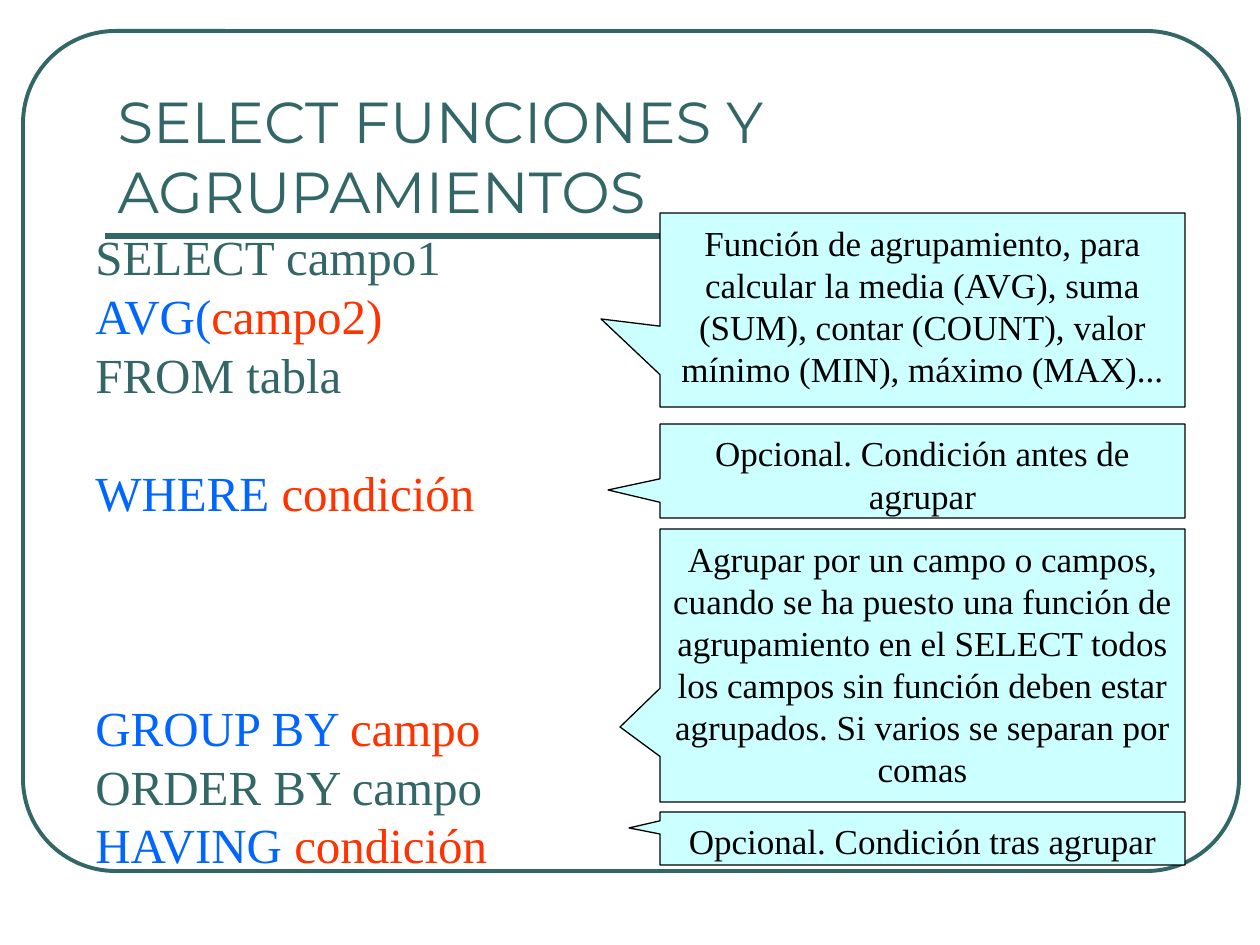
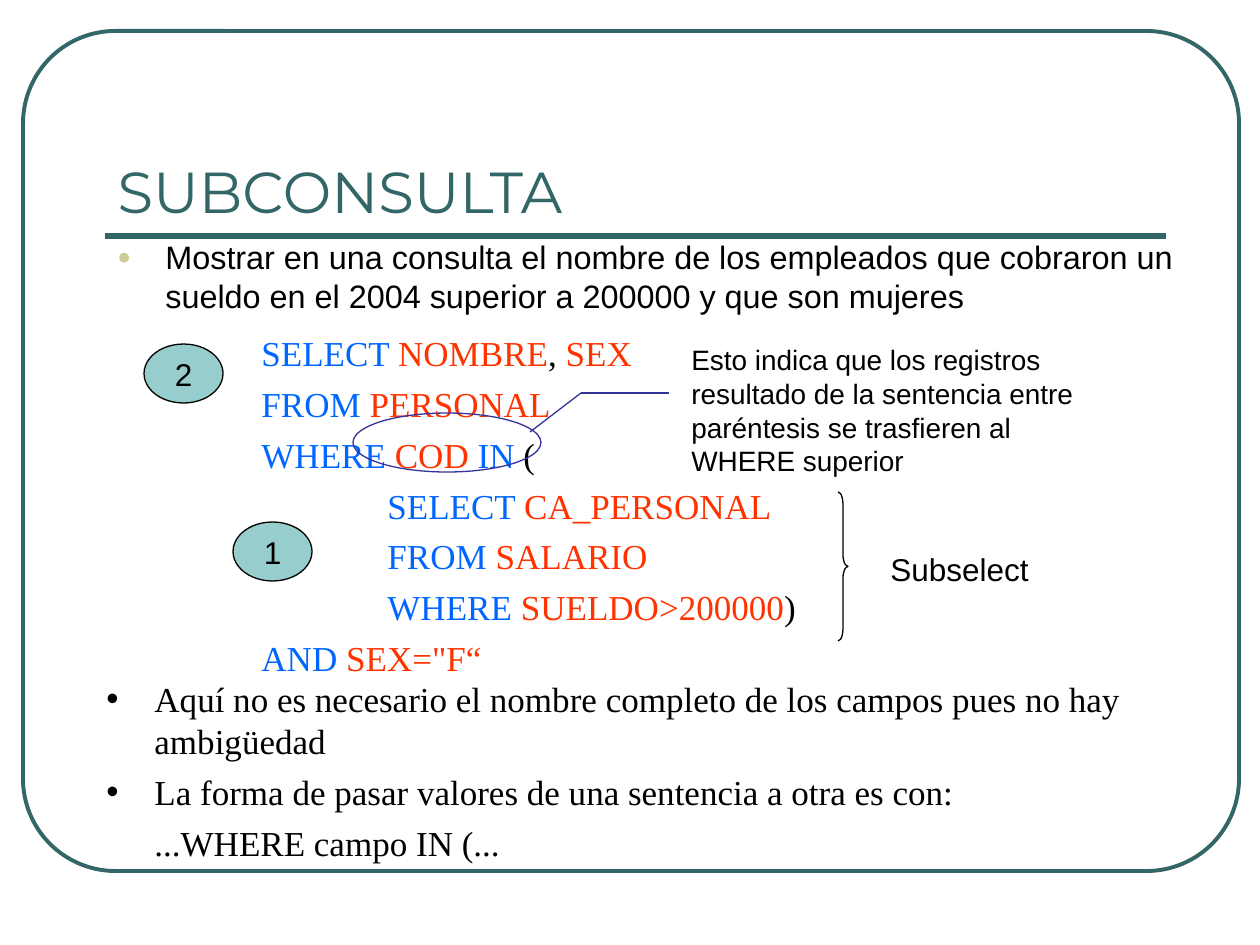
from dataclasses import dataclass

from lxml.etree import SubElement
from pptx import Presentation
from pptx.dml.color import RGBColor
from pptx.enum.shapes import MSO_CONNECTOR as Connector, MSO_SHAPE as Shape
from pptx.enum.text import MSO_ANCHOR as Anchor, MSO_AUTO_SIZE as AutoSize, PP_ALIGN as Align
from pptx.oxml.ns import qn
from pptx.util import Emu, Pt

PX_PER_INCH = 126


@dataclass(frozen=True)
class Theme:
    # Colours
    teal: str = "336666"
    keyword: str = "0066FF"
    operand: str = "FF3300"
    ink: str = "000000"
    callout: str = "CCFFFF"
    badge: str = "97CDCC"
    marker: str = "333399"
    bullet: str = "CCCC99"
    # Fonts
    heading: str = "Montserrat"
    sans: str = "Arial"
    serif: str = "Times New Roman"
    # Type sizes and line widths in points
    title_size: float = 33
    syntax_size: float = 28
    serif_size: float = 20
    body_size: float = 18.5
    label_size: float = 18
    remark_size: float = 16
    leading: float = 1.2
    thin: float = 0.75
    frame_width: float = 2.25
    rule_width: float = 3


THEME = Theme()


@dataclass
class Line:
    """One paragraph: its (text, colour) runs and its spacing."""
    runs: list
    before: float = 0
    indent: int = 0
    bullet: str = ""


def px(length):
    return Emu(round(length * 914400 / PX_PER_INCH))


def box(*lengths):
    return [px(length) for length in lengths]


def rgb(colour):
    return RGBColor.from_string(colour)


def keyword(text):
    return text, THEME.keyword


def operand(text):
    return text, THEME.operand


def plain(text):
    return text, THEME.ink


# Text

def add_bullet(paragraph, bullet, colour, percent):
    properties = paragraph._p.get_or_add_pPr()
    properties.set("indent", str(-int(properties.get("marL"))))
    SubElement(SubElement(properties, qn("a:buClr")), qn("a:srgbClr"), val=colour)
    SubElement(properties, qn("a:buSzPct"), val=str(percent * 1000))
    SubElement(properties, qn("a:buFont"), typeface=THEME.sans)
    SubElement(properties, qn("a:buChar"), char=bullet)


def write_text(shape, lines, *, size, font=THEME.serif, align=Align.LEFT, anchor=Anchor.TOP,
               wrap=True, leading=THEME.leading, top=8, bullet_colour=THEME.ink,
               bullet_percent=100):
    frame = shape.text_frame
    frame.auto_size = AutoSize.NONE
    frame.word_wrap = wrap
    frame.vertical_anchor = anchor
    frame.margin_top = px(top)
    for index, line in enumerate(lines):
        paragraph = frame.add_paragraph() if index else frame.paragraphs[0]
        paragraph.alignment = align
        paragraph.space_before = Pt(line.before)
        if leading:
            paragraph.line_spacing = Pt(size * leading)
        if line.indent:
            paragraph._p.get_or_add_pPr().set("marL", str(px(line.indent)))
        if line.bullet:
            add_bullet(paragraph, line.bullet, bullet_colour, bullet_percent)
        for text, colour in line.runs:
            run = paragraph.add_run()
            run.text = text
            run.font.size = Pt(size)
            run.font.name = font
            run.font.color.rgb = rgb(colour)


def add_text(slide, place, lines, **text_format):
    write_text(slide.shapes.add_textbox(*box(*place)), lines, **text_format)


# Shapes

def add_shape(slide, kind, place, fill=None, line=THEME.ink, width=THEME.thin):
    shape = slide.shapes.add_shape(kind, *box(*place))
    shape.shadow.inherit = False
    if fill:
        shape.fill.solid()
        shape.fill.fore_color.rgb = rgb(fill)
    else:
        shape.fill.background()
    shape.line.color.rgb = rgb(line)
    shape.line.width = Pt(width)
    return shape


def add_line(slide, start, end, colour, width=THEME.thin):
    connector = slide.shapes.add_connector(Connector.STRAIGHT, *box(*start, *end))
    connector.line.color.rgb = rgb(colour)
    connector.line.width = Pt(width)
    SubElement(connector._element.spPr, qn("a:effectLst"))


def add_callout(slide, top, height, tip, text):
    left, width = 660, 525
    callout = add_shape(slide, Shape.RECTANGULAR_CALLOUT, (left, top, width, height),
                        fill=THEME.callout)
    callout.adjustments[0] = (tip[0] - left) / width - 0.5
    callout.adjustments[1] = (tip[1] - top) / height - 0.5
    write_text(callout, [Line([plain(text)])], size=THEME.serif_size, align=Align.CENTER)


def add_badge(slide, left, top, number):
    badge = add_shape(slide, Shape.OVAL, (left, top, 79, 59), fill=THEME.badge)
    write_text(badge, [Line([plain(number)])], size=THEME.label_size, font=THEME.sans,
               align=Align.CENTER, anchor=Anchor.MIDDLE, wrap=False)


def add_titled_slide(presentation, title_text):
    """Title, rounded frame and rule shared by all slides."""
    slide = presentation.slides.add_slide(presentation.slide_layouts[5])
    frame = add_shape(slide, Shape.ROUNDED_RECTANGLE, (23, 31, 1216, 840),
                      line=THEME.teal, width=THEME.frame_width)
    frame.adjustments[0] = 0.11
    add_line(slide, (105, 236), (1166, 236), THEME.teal, THEME.rule_width)
    title = slide.shapes.title
    title.left, title.top, title.width, title.height = box(105, 73, 1061, 158)
    write_text(title, [Line([(title_text, THEME.teal)])], size=THEME.title_size,
               font=THEME.heading, anchor=Anchor.BOTTOM, leading=None, top=6)
    return slide


# Slides

def build_grouping_slide(presentation):
    slide = add_titled_slide(presentation, "SELECT FUNCIONES Y AGRUPAMIENTOS")
    row = THEME.syntax_size * THEME.leading
    add_text(slide, (83, 219, 557, 660), [
        Line([("SELECT campo1", THEME.teal)]),
        Line([keyword("AVG("), operand("campo2)")]),
        Line([("FROM tabla", THEME.teal)]),
        Line([keyword("WHERE "), operand("condición")], before=row),
        Line([keyword("GROUP BY "), operand("campo")], before=3 * row),
        Line([("ORDER BY campo", THEME.teal)]),
        Line([keyword("HAVING "), operand("condición")]),
    ], size=THEME.syntax_size)

    callouts = [
        (213, 194, (601, 319), "Función de agrupamiento, para calcular la media (AVG), suma "
                               "(SUM), contar (COUNT), valor mínimo (MIN), máximo (MAX)..."),
        (424, 94, (608, 490), "Opcional. Condición antes de agrupar"),
        (529, 273, (620, 727), "Agrupar por un campo o campos, cuando se ha puesto una función "
                               "de agrupamiento en el SELECT todos los campos sin función deben "
                               "estar agrupados. Si varios se separan por comas"),
        (812, 53, (629, 828), "Opcional. Condición tras agrupar"),
    ]
    for callout in callouts:
        add_callout(slide, *callout)


def build_subquery_slide(presentation):
    slide = add_titled_slide(presentation, "SUBCONSULTA")
    gap, hang, nested = 5, 48, 126
    add_text(slide, (105, 229, 1121, 94), [
        Line([plain("Mostrar en una consulta el nombre de los empleados que cobraron un "
                    "sueldo en el 2004 superior a 200000 y que son mujeres")],
             indent=hang, bullet="●"),
    ], size=THEME.body_size, font=THEME.sans, bullet_colour=THEME.bullet, bullet_percent=70)

    # Query and its nested query
    add_text(slide, (249, 324, 976, 359), [
        Line([keyword("SELECT "), operand("NOMBRE"), plain(", "), operand("SEX")]),
        Line([keyword("FROM "), operand("PERSONAL")], gap),
        Line([keyword("WHERE "), operand("COD "), keyword("IN"), plain(" (")], gap),
        Line([keyword("SELECT "), operand("CA_PERSONAL")], gap, nested),
        Line([keyword("FROM "), operand("SALARIO")], gap, nested),
        Line([keyword("WHERE "), operand("SUELDO>200000"), plain(")")], gap, nested),
        Line([keyword("AND "), operand('SEX="F“')], gap),
    ], size=THEME.serif_size)

    add_text(slide, (94, 670, 1101, 176), [
        Line([plain("Aquí no es necesario el nombre completo de los campos pues no hay "
                    "ambigüedad")], indent=hang, bullet="•"),
        Line([plain("La forma de pasar valores de una sentencia a otra es con:")],
             gap, hang, "•"),
        Line([plain("...WHERE campo IN (...")], gap, hang),
    ], size=THEME.serif_size)

    # Order of execution
    add_badge(slide, 233, 522, "1")
    add_badge(slide, 144, 344, "2")

    # Marked condition and its remark
    add_shape(slide, Shape.OVAL, (353, 413, 188, 59), line=THEME.marker)
    bend = (581, 393)
    add_line(slide, (530, 432), bend, THEME.marker)
    add_line(slide, bend, (669, 393), THEME.marker)
    add_text(slide, (679, 335, 455, 147), [
        Line([plain("Esto indica que los registros resultado de la sentencia entre "
                    "paréntesis se trasfieren al WHERE superior")]),
    ], size=THEME.remark_size, font=THEME.sans)

    # Subselect brace
    brace = add_shape(slide, Shape.RIGHT_BRACE, (838, 492, 10, 149))
    brace.adjustments[0] = 1.2
    add_text(slide, (878, 542, 258, 50), [Line([plain("Subselect")])],
             size=THEME.label_size, font=THEME.sans)


def main():
    presentation = Presentation()
    presentation.slide_width, presentation.slide_height = box(1260, 945)
    build_grouping_slide(presentation)
    build_subquery_slide(presentation)
    presentation.save("out.pptx")


if __name__ == "__main__":
    main()
